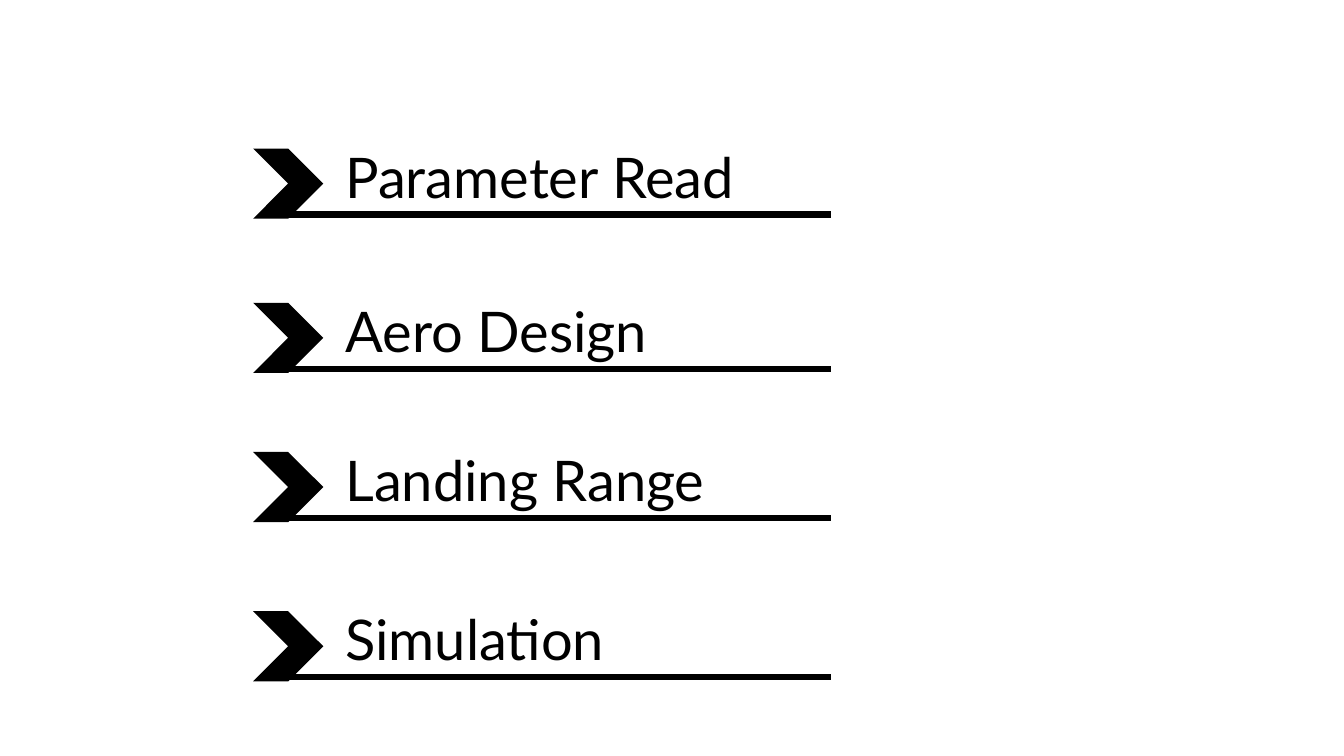
from dataclasses import dataclass

from lxml.etree import SubElement
from pptx import Presentation
from pptx.dml.color import RGBColor
from pptx.enum.shapes import MSO_CONNECTOR, MSO_SHAPE
from pptx.enum.text import MSO_AUTO_SIZE
from pptx.oxml.ns import qn
from pptx.util import Inches, Pt


@dataclass(frozen=True)
class Theme:
    ink: RGBColor = RGBColor(0, 0, 0)
    font: str = "Lato"
    step_size: Pt = Pt(40)
    rule_width: Pt = Pt(4.5)


@dataclass(frozen=True)
class Box:
    left: int
    top: int
    width: int
    height: int


THEME = Theme()
# Each step and the top of its row, in inches
STEPS = {
    "Parameter Read": 1.36,
    "Aero Design": 2.89,
    "Landing Range": 4.37,
    "Simulation": 5.95,
}


def add_chevron(page, box):
    """Square arrowhead at the left of the row."""
    side = int(box.height * 0.86)
    chevron = page.shapes.add_shape(
        MSO_SHAPE.CHEVRON, box.left, box.top + int(box.height * 0.14), side, side)
    chevron.shadow.inherit = False
    chevron.fill.solid()
    chevron.fill.fore_color.rgb = THEME.ink
    chevron.line.fill.background()


def add_rule(page, box):
    """Underline from the chevron's foot to the right edge of the row."""
    height = box.top + int(box.height * 0.95)
    rule = page.shapes.add_connector(
        MSO_CONNECTOR.STRAIGHT, box.left + int(box.height * 0.26), height,
        box.left + box.width, height)
    rule.line.color.rgb = THEME.ink
    rule.line.width = THEME.rule_width
    SubElement(rule.element.spPr, qn("a:effectLst"))


def add_label(page, box, text):
    """Name of the step, standing on the rule."""
    indent = int(box.height * 1.01)
    margin = int(box.height * 0.15)
    label = page.shapes.add_textbox(
        box.left + indent, box.top, box.width - indent - margin, int(box.height * 0.95))
    frame = label.text_frame
    frame.word_wrap = True
    frame.auto_size = MSO_AUTO_SIZE.SHAPE_TO_FIT_TEXT
    frame.text = text
    span = frame.paragraphs[0].runs[0]
    span.font.name = THEME.font
    span.font.size = THEME.step_size
    span.font.color.rgb = THEME.ink


def add_step(page, box, text):
    add_chevron(page, box)
    add_rule(page, box)
    add_label(page, box, text)


def build_steps_slide(deck):
    page = deck.slides.add_slide(deck.slide_layouts.get_by_name("Blank"))
    for text, top in STEPS.items():
        box = Box(Inches(2.51), Inches(top), Inches(5.73), Inches(0.81))
        add_step(page, box, text)


deck = Presentation()
deck.slide_width, deck.slide_height = Inches(13.33), Inches(7.5)
build_steps_slide(deck)
deck.save("out.pptx")
